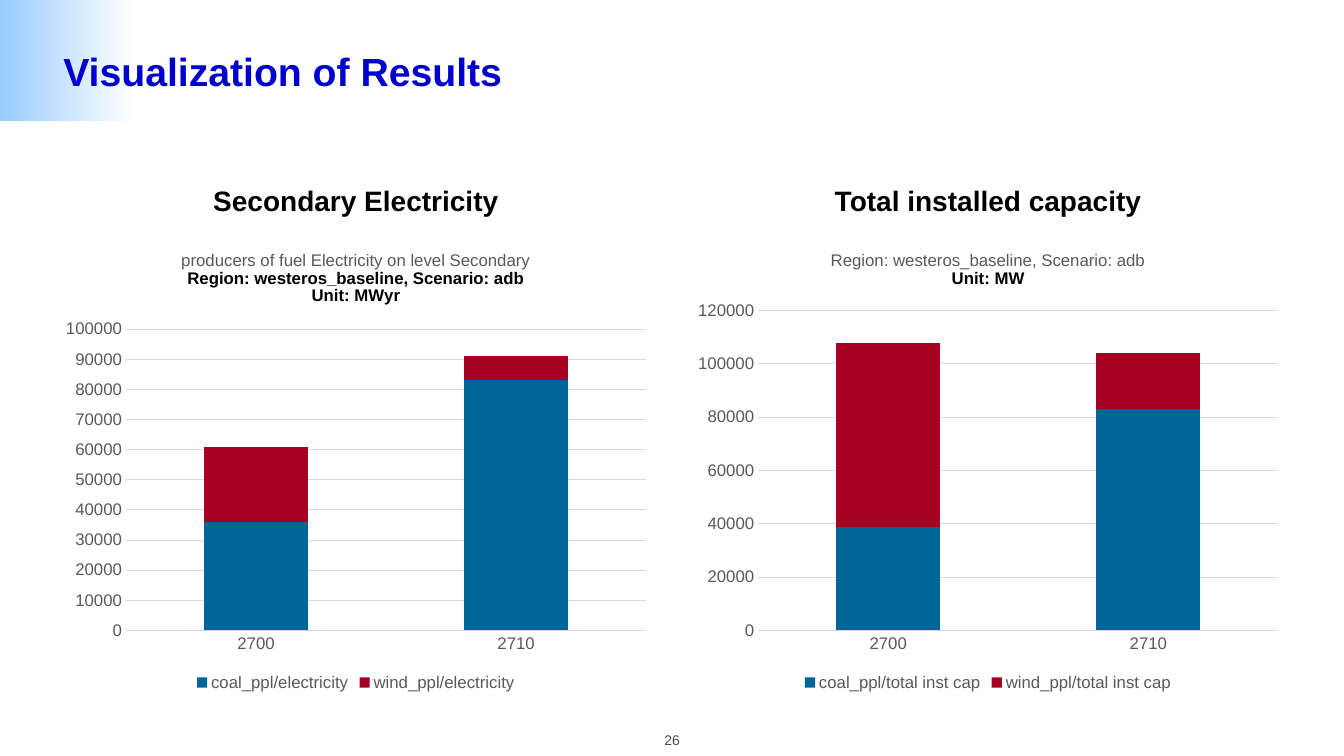
from lxml import etree
from pptx import Presentation
from pptx.chart.data import CategoryChartData
from pptx.dml.color import RGBColor
from pptx.enum.chart import XL_CHART_TYPE, XL_LEGEND_POSITION, XL_TICK_MARK
from pptx.enum.shapes import MSO_SHAPE
from pptx.enum.text import MSO_ANCHOR, PP_ALIGN
from pptx.oxml.ns import qn
from pptx.util import Inches, Pt

STACKED = XL_CHART_TYPE.COLUMN_STACKED
BELOW = XL_LEGEND_POSITION.BOTTOM
NO_TICK = XL_TICK_MARK.NONE
RECT = MSO_SHAPE.RECTANGLE
TOP, MIDDLE, BOTTOM = MSO_ANCHOR.TOP, MSO_ANCHOR.MIDDLE, MSO_ANCHOR.BOTTOM
LEFT, CENTER = PP_ALIGN.LEFT, PP_ALIGN.CENTER

WHITE = RGBColor(0xFF, 0xFF, 0xFF)
BLACK = RGBColor(0, 0, 0)
SKY = RGBColor(0x99, 0xCC, 0xFF)
BLUE = RGBColor(0, 0, 0xCC)
DARK = RGBColor(0x4D, 0x4D, 0x4D)
GRAY = RGBColor(0x59, 0x59, 0x59)
PALE = RGBColor(0xD9, 0xD9, 0xD9)
COAL = RGBColor(0, 0x66, 0x99)
WIND = RGBColor(0xA5, 0, 0x21)
FONT = "Arial"

YEARS = ["2700", "2710"]
PANELS = [
    {
        "head": "Secondary Electricity",
        "title": ["producers of fuel Electricity on level Secondary",
                  "Region: westeros_baseline, Scenario: adb", "Unit: MWyr"],
        "rows": [("coal_ppl/electricity", (36000, 83000), COAL),
                 ("wind_ppl/electricity", (25000, 8000), WIND)],
        "peak": 100000, "step": 10000, "plot": 0.21,
    },
    {
        "head": "Total installed capacity",
        "title": ["Region: westeros_baseline, Scenario: adb", "Unit: MW"],
        "rows": [("coal_ppl/total inst cap", (39000, 83000), COAL),
                 ("wind_ppl/total inst cap", (69000, 21000), WIND)],
        "peak": 120000, "step": 20000, "plot": 0.17,
    },
]


def style(font, size, color, bold=False):
    """Set the face, size, colour and weight of a font."""
    font.name, font.size, font.bold = FONT, Pt(size), bold
    font.color.rgb = color


def label(slide, box, text, size, color, bold, align, anchor):
    """Place one line of text in a box given in inches."""
    frame = slide.shapes.add_textbox(*map(Inches, box)).text_frame
    frame.word_wrap = True
    frame.vertical_anchor = anchor
    line = frame.paragraphs[0]
    line.alignment = align
    run = line.add_run()
    run.text = text
    style(run.font, size, color, bold)


def banner(slide, box):
    """Draw the corner fade and the slide title beside it."""
    left, top, width, height = box
    fade = slide.shapes.add_shape(
        RECT, Inches(left), Inches(top), Inches(1.33), Inches(height))
    fade.shadow.inherit = False
    fade.line.fill.background()
    fade.fill.gradient()
    fade.fill.gradient_angle = 180
    for stop, color, place in zip(fade.fill.gradient_stops, (WHITE, SKY), (0, 1)):
        stop.color.rgb = color
        stop.position = place
    label(slide, (left + 0.53, top + 0.2, width - 1.06, height - 0.2),
          "Visualization of Results", 28, BLUE, True, LEFT, MIDDLE)


def caption(chart, lines):
    """Write the chart title with a plain first line and bold others."""
    frame = chart.chart_title.text_frame
    chart.chart_title.include_in_layout = False
    for i, text in enumerate(lines):
        line = frame.add_paragraph() if i else frame.paragraphs[0]
        run = line.add_run()
        run.text = text
        style(run.font, 12, BLACK if i else GRAY, i > 0)


def settle(chart, top):
    """Fix the inner plot area as fractions of the chart."""
    plot = chart.plots[0]
    area = chart.element.find(".//" + qn("c:plotArea"))
    layout = area.find(qn("c:layout"))
    if layout is None:
        layout = etree.Element(qn("c:layout"))
        area.insert(0, layout)
    manual = etree.SubElement(layout, qn("c:manualLayout"))
    parts = [("layoutTarget", "inner"), ("xMode", "edge"), ("yMode", "edge"),
             ("x", 0.12), ("y", top), ("w", 0.86), ("h", round(0.86 - top, 2))]
    for tag, value in parts:
        etree.SubElement(manual, qn("c:" + tag)).set("val", str(value))
    plot.gap_width, plot.overlap = 150, 100
    plot.vary_by_categories = False


def axes(chart, peak, step):
    """Format both axes and the grid."""
    cat, val = chart.category_axis, chart.value_axis
    for axis in (cat, val):
        axis.major_tick_mark = axis.minor_tick_mark = NO_TICK
        style(axis.tick_labels.font, 12, GRAY)
    val.has_major_gridlines = True
    for line in (cat.format.line, val.major_gridlines.format.line):
        line.color.rgb = PALE
        line.width = Pt(0.75)
    val.format.line.fill.background()
    val.minimum_scale, val.maximum_scale, val.major_unit = 0, peak, step


def panel(slide, box, info):
    """Place a heading and its stacked column chart."""
    left, top, width, height = box
    label(slide, (left, top, width, 0.7), info["head"], 20, BLACK, True,
          CENTER, BOTTOM)
    data = CategoryChartData()
    data.categories = YEARS
    for name, values, _ in info["rows"]:
        data.add_series(name, values)
    chart = slide.shapes.add_chart(
        STACKED, Inches(left), Inches(top + 0.8), Inches(width),
        Inches(height - 0.8), data).chart
    style(chart.font, 10, BLACK)
    caption(chart, info["title"])
    axes(chart, info["peak"], info["step"])
    settle(chart, info["plot"])
    for series, (_, _, color) in zip(chart.plots[0].series, info["rows"]):
        series.format.fill.solid()
        series.format.fill.fore_color.rgb = color
    chart.has_legend = True
    chart.legend.position = BELOW
    chart.legend.include_in_layout = False
    style(chart.legend.font, 12, GRAY)


def main():
    """Build the slide and save it."""
    deck = Presentation()
    deck.slide_width, deck.slide_height = Inches(13.33), Inches(7.5)
    slide = deck.slides.add_slide(deck.slide_layouts[6])
    banner(slide, (0, 0, 13.33, 1.2))
    for i, info in enumerate(PANELS):
        panel(slide, (0.53 + i * 6.27, 1.5, 6, 5.4), info)
    label(slide, (6.22, 7.21, 0.89, 0.27), "26", 10, DARK, False, CENTER, TOP)
    deck.save("out.pptx")


if __name__ == "__main__":
    main()
